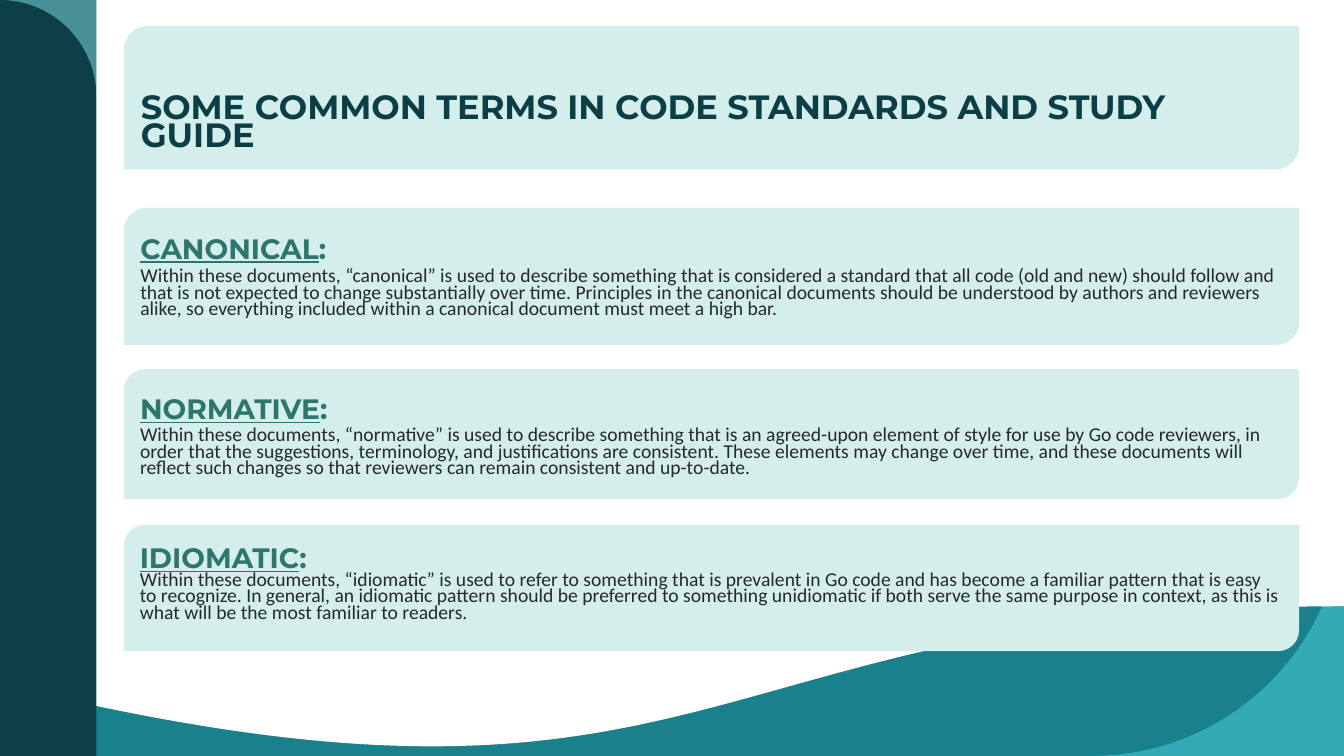
from dataclasses import dataclass
from math import cos, radians, sin

from lxml.etree import SubElement
from pptx import Presentation
from pptx.dml.color import RGBColor
from pptx.enum.shapes import MSO_SHAPE
from pptx.enum.text import MSO_ANCHOR, MSO_AUTO_SIZE, PP_ALIGN
from pptx.oxml.ns import qn
from pptx.util import Cm, Pt


@dataclass(frozen=True)
class Theme:
    teal: str = "18818C"
    dark: str = "0C4046"
    pale: str = "89E1EB"
    aqua: str = "4ED3E1"
    white: str = "FFFFFF"
    mint: str = "D4EEEB"
    title: str = "0C3F45"
    term: str = "2E756D"
    ink: str = "24292E"
    head: str = "Montserrat"
    body: str = "Calibri"
    big: int = 24
    mid: int = 20
    small: int = 14


@dataclass(frozen=True)
class Box:
    x: float
    y: float
    w: float
    h: float

    def emu(self):
        return Cm(self.x), Cm(self.y), Cm(self.w), Cm(self.h)


THEME = Theme()
PAGE = Box(0, 0, 33.87, 19.05)
RAIL = 2.43
LEFT, WIDTH = 3.12, 29.62
TITLE = "SOME COMMON TERMS IN CODE STANDARDS AND STUDY GUIDE"
CARDS = [
    (5.24, 3.45, 0.65, 4, "CANONICAL",
     "Within these documents, “canonical” is used to describe something that is "
     "considered a standard that all code (old and new) should follow and that is "
     "not expected to change substantially over time. Principles in the canonical "
     "documents should be understood by authors and reviewers alike, so everything "
     "included within a canonical document must meet a high bar."),
    (9.3, 3.28, 0.64, 3, "NORMATIVE",
     "Within these documents, “normative” is used to describe something that is an "
     "agreed-upon element of style for use by Go code reviewers, in order that the "
     "suggestions, terminology, and justifications are consistent. These elements "
     "may change over time, and these documents will reflect such changes so that "
     "reviewers can remain consistent and up-to-date."),
    (13.23, 3.18, 0.47, 0, "IDIOMATIC",
     "Within these documents, “idiomatic” is used to refer to something that is "
     "prevalent in Go code and has become a familiar pattern that is easy to "
     "recognize. In general, an idiomatic pattern should be preferred to something "
     "unidiomatic if both serve the same purpose in context, as this is what will "
     "be the most familiar to readers."),
]


def paint(shape, color):
    shape.shadow.inherit = False
    shape.fill.solid()
    shape.fill.fore_color.rgb = RGBColor.from_string(color)
    shape.line.fill.background()
    return shape


def block(slide, kind, box, color):
    return paint(slide.shapes.add_shape(kind, *box.emu()), color)


def wedge(slide, x, y, size, start, color):
    turns = [radians(start + step) for step in range(0, 91, 3)]
    arc = [(x + size * cos(a), y + size * sin(a)) for a in turns]
    tip = (arc[0][0] + arc[-1][0] - x, arc[0][1] + arc[-1][1] - y)
    dots = [(Cm(a), Cm(b)) for a, b in arc + [tip]]
    pen = slide.shapes.build_freeform(*dots[0])
    pen.add_line_segments(dots[1:], close=True)
    shape = paint(pen.convert_to_shape(), color)
    tint = shape.fill._xPr.find(qn("a:solidFill"))[0]
    SubElement(tint, qn("a:alpha")).set("val", "50000")


def style(run, font, size, color, bold=False, line=False):
    run.font.name = font
    run.font.size = Pt(size)
    run.font.color.rgb = RGBColor.from_string(color)
    run.font.bold = bold
    run.font.underline = line


def setup(frame, side, top):
    frame.word_wrap = True
    frame.auto_size = MSO_AUTO_SIZE.NONE
    frame.vertical_anchor = MSO_ANCHOR.TOP
    frame.margin_left = frame.margin_right = Cm(side)
    frame.margin_top = Cm(top)
    frame.margin_bottom = 0
    for para in frame.paragraphs:
        para.alignment = PP_ALIGN.LEFT
        para.line_spacing = 0.7
        para.space_before = para.space_after = Pt(0)


def scene(slide, box):
    slide.background.fill.solid()
    slide.background.fill.fore_color.rgb = RGBColor.from_string(THEME.teal)
    block(slide, MSO_SHAPE.RECTANGLE, Box(box.x, box.y, RAIL, box.h), THEME.dark)
    wedge(slide, box.x, box.y + RAIL, RAIL, -90, THEME.pale)
    size = 6.35
    wedge(slide, box.x + box.w - size, box.y + box.h - size, size, 0, THEME.aqua)
    wave = Box(box.x + RAIL, box.y, box.w - RAIL, box.h)
    block(slide, MSO_SHAPE.FLOWCHART_DOCUMENT, wave, THEME.white)


def banner(slide, box):
    block(slide, MSO_SHAPE.ROUND_2_DIAG_RECTANGLE, box, THEME.mint)
    title = slide.shapes.title
    area = Box(box.x + 0.43, box.y + 1.78, box.w - 0.86, box.h - 1.78)
    title.left, title.top, title.width, title.height = area.emu()
    title.text_frame.text = TITLE
    setup(title.text_frame, 0, 0)
    run = title.text_frame.paragraphs[0].runs[0]
    style(run, THEME.head, THEME.big, THEME.title, bold=True)
    slide.shapes._spTree.append(title._element)


def card(slide, box, top, gap, term, text):
    shape = block(slide, MSO_SHAPE.ROUND_2_DIAG_RECTANGLE, box, THEME.mint)
    frame = shape.text_frame
    frame.text = term + "\n" + text
    setup(frame, 0.25, top)
    head, body = frame.paragraphs
    colon = head.add_run()
    colon.text = ":"
    style(head.runs[0], THEME.head, THEME.mid, THEME.term, bold=True, line=True)
    style(colon, THEME.head, THEME.mid, THEME.term, bold=True)
    body.space_before = Pt(gap)
    style(body.runs[0], THEME.body, THEME.small, THEME.ink)


def main():
    deck = Presentation()
    deck.slide_width, deck.slide_height = Cm(PAGE.w), Cm(PAGE.h)
    slide = deck.slides.add_slide(deck.slide_layouts[5])
    scene(slide, PAGE)
    banner(slide, Box(LEFT, 0.66, WIDTH, 3.61))
    for y, h, *rest in CARDS:
        card(slide, Box(LEFT, y, WIDTH, h), *rest)
    deck.save("out.pptx")


if __name__ == "__main__":
    main()
